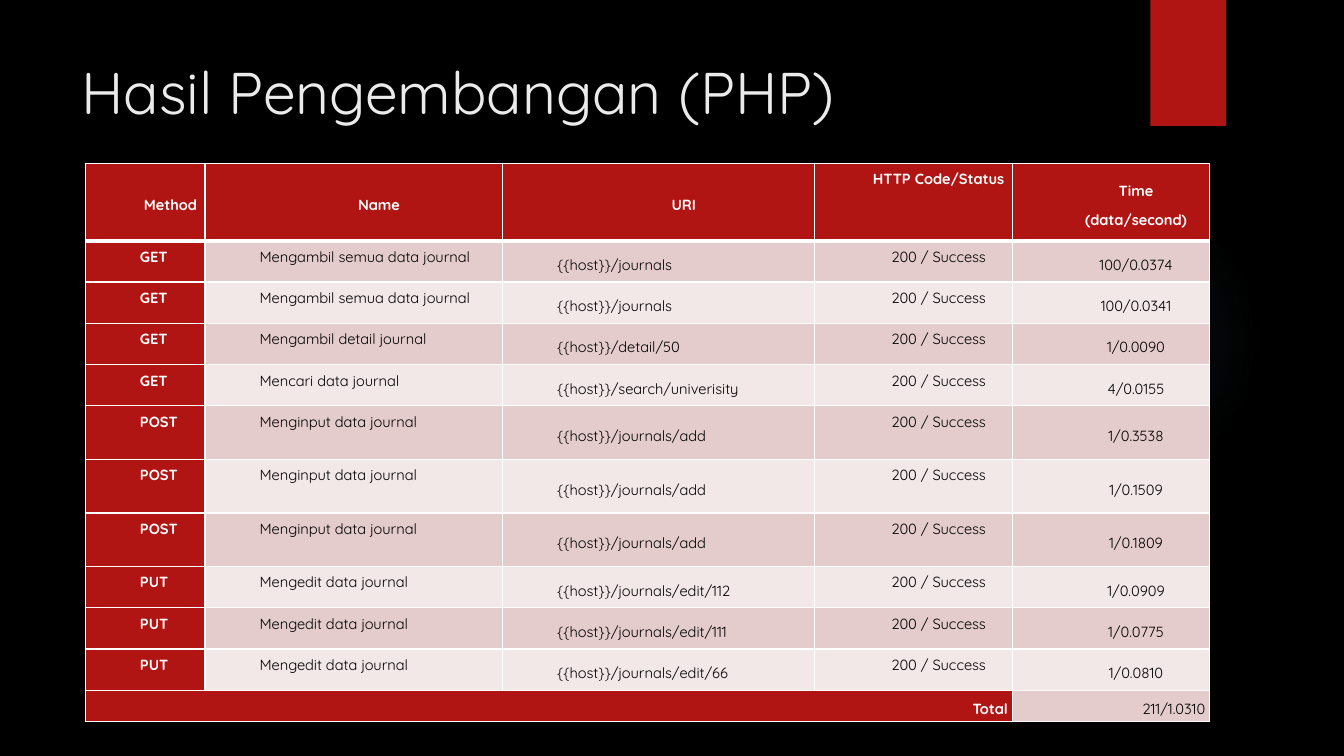
from lxml.etree import SubElement
from pptx import Presentation
from pptx.dml.color import RGBColor
from pptx.enum.shapes import MSO_SHAPE
from pptx.enum.text import MSO_ANCHOR, PP_ALIGN
from pptx.oxml import parse_xml
from pptx.oxml.ns import nsdecls, qn
from pptx.util import Pt

FONT = "Quicksand"
RED, WHITE, BLACK = "B01513", "FFFFFF", "000000"
BANDS = ["E4CCCC", "F2E8E7"]
LEFT, MID, RIGHT, JUST = (
    PP_ALIGN.LEFT, PP_ALIGN.CENTER, PP_ALIGN.RIGHT, PP_ALIGN.JUSTIFY)

WIDTHS = [85.5, 212.5, 223, 141, 141]
HEIGHTS = [55.5] + [29.5] * 4 + [38.25] * 3 + [29.5] * 3 + [22.5]
ALIGNS = [JUST, LEFT, LEFT, MID, MID]
HEAD = ["Method", "Name", "URI", "HTTP Code/Status", "Time\n(data/second)"]
CALLS = [
    ("GET", "Mengambil semua data journal", "journals", "100/0.0374"),
    ("GET", "Mengambil semua data journal", "journals", "100/0.0341"),
    ("GET", "Mengambil detail journal", "detail/50", "1/0.0090"),
    ("GET", "Mencari data journal", "search/univerisity", "4/0.0155"),
    ("POST", "Menginput data journal", "journals/add", "1/0.3538"),
    ("POST", "Menginput data journal", "journals/add", "1/0.1509"),
    ("POST", "Menginput data journal", "journals/add", "1/0.1809"),
    ("PUT", "Mengedit data journal", "journals/edit/112", "1/0.0909"),
    ("PUT", "Mengedit data journal", "journals/edit/111", "1/0.0775"),
    ("PUT", "Mengedit data journal", "journals/edit/66", "1/0.0810"),
]


def color(code):
    return RGBColor.from_string(code)


def set_font(para, size, code, bold=False):
    font = para.font
    font.name, font.size, font.bold = FONT, Pt(size), bold
    font.color.rgb = color(code)


def add_block(slide, kind, x, y, w, h, code):
    block = slide.shapes.add_shape(kind, Pt(x), Pt(y), Pt(w), Pt(h))
    block.shadow.inherit = False
    block.line.fill.background()
    block.fill.solid()
    block.fill.fore_color.rgb = color(code)
    return block


def add_glow(slide, x, y, size, code):
    """Add a circle that fades out from its centre."""
    glow = add_block(slide, MSO_SHAPE.OVAL, x, y, size, size, code)
    stops = "".join(
        f'<a:gs pos="{pos}000"><a:srgbClr val="{code}">'
        f'<a:alpha val="{alpha}000"/></a:srgbClr></a:gs>'
        for pos, alpha in [(0, 7), (36, 6), (69, 0)])
    fade = parse_xml(
        f'<a:gradFill {nsdecls("a")}><a:gsLst>{stops}</a:gsLst>'
        '<a:path path="circle"><a:fillToRect l="50000" t="50000" '
        'r="50000" b="50000"/></a:path></a:gradFill>')
    props = glow.fill._xPr
    props.replace(props.find(qn("a:solidFill")), fade)


def add_title(slide, text, x, y, w, h):
    box = slide.shapes.add_textbox(Pt(x), Pt(y), Pt(w), Pt(h))
    box.text_frame.word_wrap = True
    box.text_frame.text = text
    set_font(box.text_frame.paragraphs[0], 42, "EBEBEB")


def set_edges(cell, top, base):
    props = cell._tc.get_or_add_tcPr()
    for side, width in zip("LRTB", (1, 1, top, base)):
        edge = SubElement(props, qn(f"a:ln{side}"), w=str(Pt(width)))
        fill = SubElement(edge, qn("a:solidFill"))
        SubElement(fill, qn("a:srgbClr"), val=WHITE)


def fill_cell(cell, text, align, anchor, back, top=1, base=1):
    set_edges(cell, top, base)
    cell.fill.solid()
    cell.fill.fore_color.rgb = color(back)
    cell.margin_left = cell.margin_right = cell.margin_top = Pt(3)
    cell.margin_bottom = 0
    cell.vertical_anchor = anchor
    cell.text = text
    strong = back == RED
    for para in cell.text_frame.paragraphs:
        para.alignment = align
        para.line_spacing, para.space_before = 1.15, Pt(6)
        props = para._p.get_or_add_pPr()
        props.set("marL", str(Pt(36)))
        props.set("indent", "0")
        set_font(para, 10.5, WHITE if strong else BLACK, strong)


def add_grid(slide, x, y):
    rows = [HEAD]
    rows += [(verb, name, "{{host}}/" + uri, "200 / Success", time)
             for verb, name, uri, time in CALLS]
    rows.append(["Total", "", "", "", "211/1.0310"])
    last = len(rows) - 1
    grid = slide.shapes.add_table(
        len(rows), len(WIDTHS), Pt(x), Pt(y),
        Pt(sum(WIDTHS)), Pt(sum(HEIGHTS))).table
    for col, width in zip(grid.columns, WIDTHS):
        col.width = Pt(width)
    for row, height in zip(grid.rows, HEIGHTS):
        row.height = Pt(height)
    grid.cell(last, 0).merge(grid.cell(last, 3))

    for r, row in enumerate(rows):
        for c, text in enumerate(row):
            align = MID if r == 0 else RIGHT if r == last else ALIGNS[c]
            # Method and status sit at the top, as do the names of calls
            high = c == 3 or (c < 2 and r > 0)
            anchor = (MSO_ANCHOR.TOP if high and r < last
                      else MSO_ANCHOR.MIDDLE)
            dark = r == 0 or c == 0 or (r == last and c < 4)
            back = RED if dark else BANDS[(r - 1) % 2]
            fill_cell(grid.cell(r, c), text, align, anchor, back,
                      top=3 if r == 1 else 1, base=3 if r == 0 else 1)


def main():
    deck = Presentation()
    deck.slide_width, deck.slide_height = Pt(960), Pt(540)
    slide = deck.slides.add_slide(deck.slide_layouts[6])
    slide.background.fill.solid()
    slide.background.fill.fore_color.rgb = color(BLACK)

    # Backdrop
    add_glow(slide, 677.5, 131.75, 221.75, "50B9C1")
    add_block(slide, MSO_SHAPE.RECTANGLE, 821.75, 0, 54, 90, RED)

    # Content
    add_title(slide, "Hasil Pengembangan (PHP)", 51, 36, 741, 110)
    add_grid(slide, 61, 116.5)
    deck.save("out.pptx")


if __name__ == "__main__":
    main()
